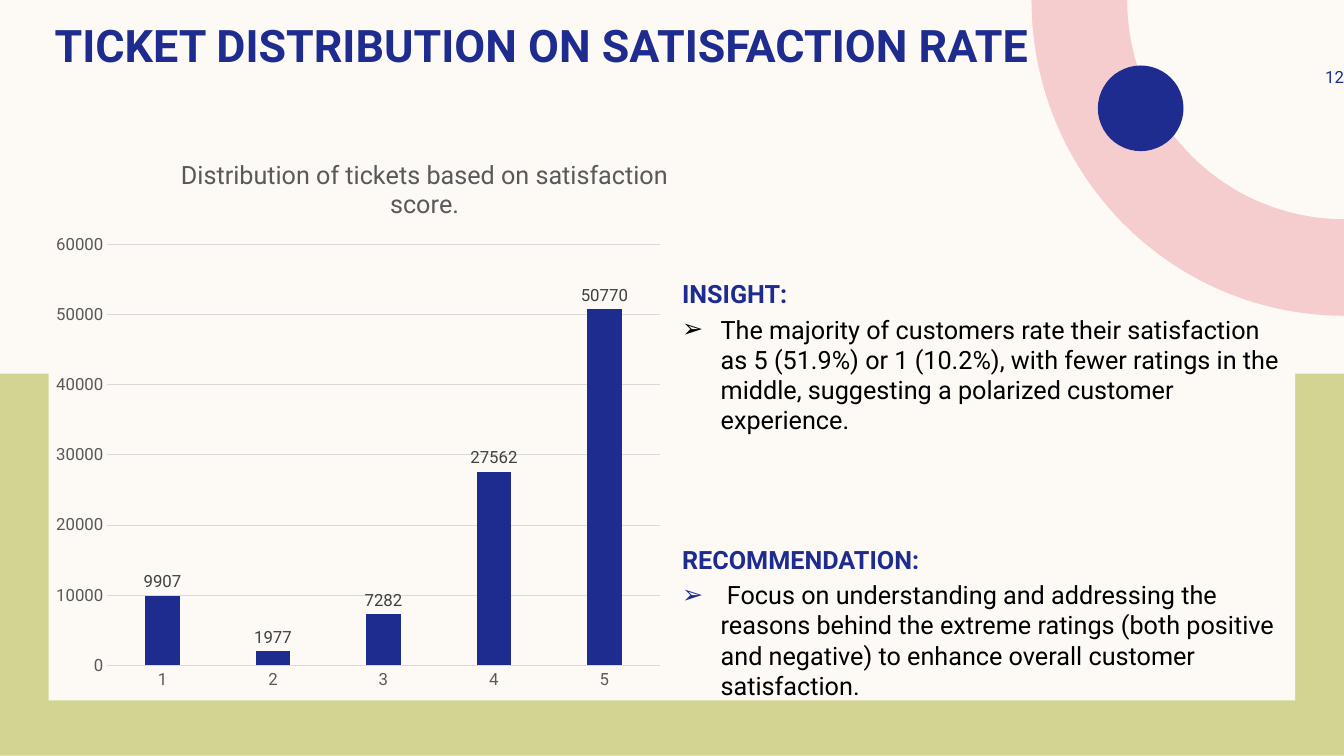
from math import cos, pi, sin

from lxml.etree import SubElement
from pptx import Presentation
from pptx.chart.data import CategoryChartData
from pptx.dml.color import RGBColor
from pptx.enum.chart import XL_CHART_TYPE as ChartType
from pptx.enum.chart import XL_LABEL_POSITION as LabelPosition
from pptx.enum.chart import XL_TICK_MARK as TickMark
from pptx.enum.shapes import MSO_SHAPE as Preset
from pptx.enum.text import MSO_ANCHOR as Anchor
from pptx.enum.text import MSO_AUTO_SIZE as AutoSize
from pptx.enum.text import PP_ALIGN as Align
from pptx.oxml import parse_xml
from pptx.oxml.ns import nsdecls, qn
from pptx.util import Inches, Pt

COLOURS = {
    "cream": "FDFAF6", "olive": "D2D592", "pink": "F5CDCE", "navy": "1F2C8F",
    "black": "000000", "grey": "595959", "label": "404040", "grid": "D9D9D9",
}
COLUMNS = 160
FONT = "Roboto"


def colour(name):
    return RGBColor.from_string(COLOURS[name])


class SlideBuilder:
    def __init__(self, deck):
        self.unit = deck.slide_width / COLUMNS
        self.slide = deck.slides.add_slide(deck.slide_layouts[1])
        self.shapes = self.slide.shapes
        backdrop = self.slide.background.fill
        backdrop.solid()
        backdrop.fore_color.rgb = colour("cream")

    def grid(self, *lengths):
        return [round(length * self.unit) for length in lengths]

    def style(self, font, size, tint, bold=False):
        font.name, font.size, font.bold = FONT, Pt(size), bold
        font.color.rgb = colour(tint)

    def paint(self, shape, tint):
        shape.shadow.inherit = False
        shape.fill.solid()
        shape.fill.fore_color.rgb = colour(tint)
        shape.line.fill.background()

    def block(self, preset, box, tint):
        self.paint(self.shapes.add_shape(preset, *self.grid(*box)), tint)

    def quarter_ring(self, centre, outer, inner, tint, steps=60):
        def arc(radii):
            angles = [pi / 2 * (1 + step / steps) for step in range(steps + 1)]
            return [self.grid(centre[0] + radii[0] * cos(a),
                              centre[1] + radii[1] * sin(a)) for a in angles]

        outline = arc(outer) + arc(inner)[::-1]
        pen = self.shapes.build_freeform(*outline[0], scale=1.0)
        pen.add_line_segments(outline[1:], close=True)
        self.paint(pen.convert_to_shape(), tint)

    def frame(self, holder, box, margins, anchor):
        holder.left, holder.top, holder.width, holder.height = self.grid(*box)
        self.shapes.element.append(holder.element)
        text = holder.text_frame
        text.word_wrap, text.auto_size = True, AutoSize.NONE
        text.vertical_anchor = anchor
        (text.margin_left, text.margin_top,
         text.margin_right, text.margin_bottom) = self.grid(*margins)
        return text

    def line(self, paragraph, words, size, tint, bold=False, align=Align.LEFT):
        paragraph.text = words
        paragraph.alignment = align
        self.style(paragraph.runs[0].font, size, tint, bold)

    def title(self, words, box):
        text = self.frame(self.shapes.title, box, (1.2, 0, 1.2, 0), Anchor.MIDDLE)
        self.line(text.paragraphs[0], words, 32, "navy", True)

    def page_number(self, words, box):
        holder = self.shapes.add_textbox(*self.grid(*box))
        text = self.frame(holder, box, (1.2, 0.6, 0, 0.6), Anchor.MIDDLE)
        self.line(text.paragraphs[0], words, 12, "navy", align=Align.RIGHT)

    def bullet(self, paragraph, indent, tint):
        props = paragraph._p.get_or_add_pPr()
        hang = self.grid(indent)[0]
        props.set("marL", str(hang))
        props.set("indent", str(-hang))
        if indent:
            shade = SubElement(props, qn("a:buClr"))
            SubElement(shade, qn("a:srgbClr")).set("val", COLOURS[tint])
            SubElement(props, qn("a:buChar")).set("char", "➢")
        else:
            SubElement(props, qn("a:buNone"))

    def findings(self, sections, box, top, gap):
        text = self.frame(self.slide.placeholders[1], box,
                          (1.2, top, 1.2, 0), Anchor.TOP)
        for number, (heading, finding, mark) in enumerate(sections):
            head = text.add_paragraph() if number else text.paragraphs[0]
            self.line(head, heading, 18, "navy", True)
            head.space_before = Pt(gap if number else 0)
            self.bullet(head, 0, "navy")
            detail = text.add_paragraph()
            self.line(detail, finding, 18, "black")
            detail.space_before = Pt(3.6)
            self.bullet(detail, 4.6, mark)

    def place(self, part, position, target="", **shares):
        for old in part.findall(qn("c:layout")):
            part.remove(old)
        layout = parse_xml(f"<c:layout {nsdecls('c')}><c:manualLayout/></c:layout>")
        if target:
            SubElement(layout[0], qn("c:layoutTarget")).set("val", target)
        for axis in ("x", "y"):
            SubElement(layout[0], qn(f"c:{axis}Mode")).set("val", "edge")
        for key, share in shares.items():
            SubElement(layout[0], qn(f"c:{key}")).set("val", str(share))
        part.insert(position, layout)

    def column_chart(self, heading, scores, box):
        data = CategoryChartData()
        data.categories = list(scores)
        data.add_series("Series 1", list(scores.values()))
        chart = self.shapes.add_chart(
            ChartType.COLUMN_CLUSTERED, *self.grid(*box), data).chart
        self.style(chart.font, 10, "black")
        chart.has_legend = False
        chart.has_title = True
        caption = chart.chart_title.text_frame
        caption.text = heading
        self.style(caption.paragraphs[0].runs[0].font, 18, "grey")

        for axis in (chart.category_axis, chart.value_axis):
            axis.major_tick_mark = axis.minor_tick_mark = TickMark.NONE
            self.style(axis.tick_labels.font, 12, "grey")
        values = chart.value_axis
        values.minimum_scale, values.maximum_scale = 0, 60000
        values.major_unit = 10000
        values.has_major_gridlines = True
        for rule in (chart.category_axis.format.line,
                     values.major_gridlines.format.line):
            rule.color.rgb = colour("grid")
            rule.width = Pt(0.75)
        values.format.line.fill.background()

        plot = chart.plots[0]
        plot.gap_width, plot.overlap, plot.vary_by_categories = 219, -27, False
        columns = plot.series[0]
        columns.format.fill.solid()
        columns.format.fill.fore_color.rgb = colour("navy")
        labels = columns.data_labels
        labels.show_value, labels.position = True, LabelPosition.OUTSIDE_END
        self.style(labels.font, 12, "label")

        area = chart.element.find(f".//{qn('c:plotArea')}")
        self.place(area, 0, "inner", x=0.1, y=0.2, w=0.88, h=0.74)
        self.place(chart.chart_title.element, 1, x=0.21, y=0.04)


def main():
    deck = Presentation()
    deck.slide_width, deck.slide_height = Inches(13.33), Inches(7.5)
    page = SlideBuilder(deck)
    page.block(Preset.RECTANGLE, (0, 44.5, 160, 45.5), "olive")
    page.block(Preset.RECTANGLE, (5.8, 4.3, 148.4, 79.1), "cream")
    page.quarter_ring((160, 0), (37.2, 37.6), (25.8, 26.1), "pink")
    page.block(Preset.OVAL, (130.7, 7.8, 10.2, 10.2), "navy")
    page.title("TICKET DISTRIBUTION ON SATISFACTION RATE", (5.3, 0, 129.6, 10.7))
    page.page_number("12", (147, 6, 13, 6.2))
    page.findings([
        ("INSIGHT:",
         "The majority of customers rate their satisfaction as 5 (51.9%) or 1 "
         "(10.2%), with fewer ratings in the middle, suggesting a polarized "
         "customer experience.", "black"),
        ("RECOMMENDATION:",
         " Focus on understanding and addressing the reasons behind the extreme "
         "ratings (both positive and negative) to enhance overall customer "
         "satisfaction.", "navy"),
    ], (80, 15.6, 74.8, 67.7), top=17.6, gap=78)
    page.column_chart(
        "Distribution of tickets based on satisfaction score.",
        {"1": 9907, "2": 1977, "3": 7282, "4": 27562, "5": 50770},
        (5.3, 15.6, 74.8, 67.7))
    deck.save("out.pptx")


if __name__ == "__main__":
    main()
